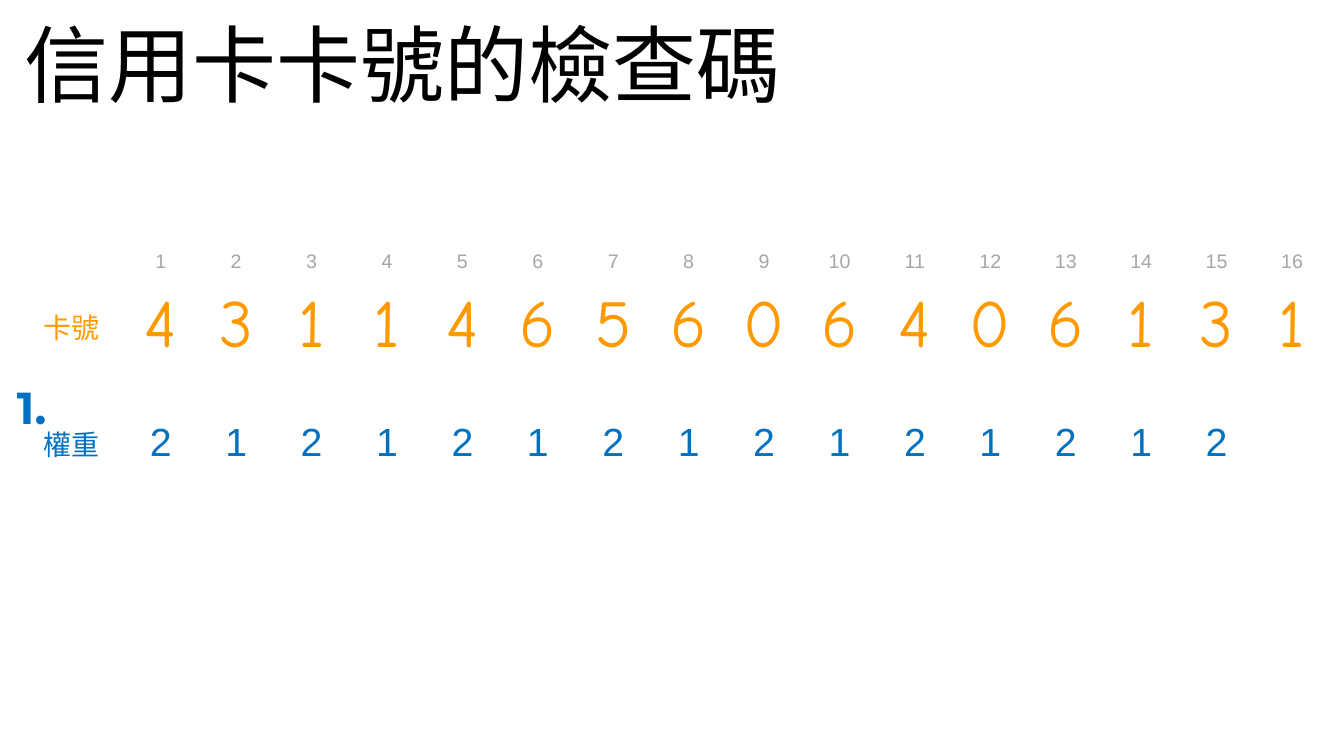
from dataclasses import dataclass

from pptx import Presentation
from pptx.dml.color import RGBColor
from pptx.enum.text import MSO_ANCHOR, MSO_AUTO_SIZE, PP_ALIGN
from pptx.oxml.ns import qn
from pptx.slide import Slide
from pptx.text.text import TextFrame
from pptx.util import Emu, Pt

PX = 9144  # EMU per px, 100 px to the inch

BLACK = RGBColor(0x00, 0x00, 0x00)
GREY = RGBColor(0xA6, 0xA6, 0xA6)
ORANGE = RGBColor(0xFF, 0x99, 0x00)
BLUE = RGBColor(0x00, 0x70, 0xC0)

CJK = "Noto Sans CJK SC"
CARD_NUMBER = "4311465606406131"
LABEL_WIDTH = 103
DIGITS_WIDTH = 1197
ROW_HEIGHTS = (41, 41, 46, 41, 41, 41)


@dataclass(frozen=True)
class Style:
    font: str
    size: int
    color: RGBColor
    bold: bool = False


@dataclass(frozen=True)
class DigitRow:
    index: int
    label: str
    values: list[str]
    style: Style


DIGIT_ROWS = (
    DigitRow(0, "", [str(n + 1) for n in range(len(CARD_NUMBER))], Style("Arial", 14, GREY)),
    DigitRow(1, "卡號", list(CARD_NUMBER), Style("Comic Neue", 48, ORANGE)),
    DigitRow(3, "權重", [str(2 - n % 2) for n in range(len(CARD_NUMBER) - 1)],
             Style("Arial", 28, BLUE)),
)


def px(length: int) -> Emu:
    return Emu(length * PX)


def write(frame: TextFrame, text: str, style: Style, align: PP_ALIGN = PP_ALIGN.LEFT) -> None:
    frame.text = text
    para = frame.paragraphs[0]
    para.alignment = align
    for span in para.runs:
        span.font.name = style.font
        span.font.size = Pt(style.size)
        span.font.bold = style.bold
        span.font.color.rgb = style.color
        # East Asian text takes its typeface from a:ea
        latin = span.font._element.find(qn("a:latin"))
        east_asian = latin.makeelement(qn("a:ea"), {"typeface": style.font})
        latin.addnext(east_asian)


def add_title(page: Slide) -> None:
    title = page.shapes.title
    title.left, title.top, title.width, title.height = map(px, (14, 13, 793, 111))
    frame = title.text_frame
    write(frame, "信用卡卡號的檢查碼", Style(CJK, 60, BLACK))
    frame.auto_size = MSO_AUTO_SIZE.NONE
    frame.vertical_anchor = MSO_ANCHOR.MIDDLE
    frame.paragraphs[0].line_spacing = 0.9


def add_digit_table(page: Slide) -> None:
    columns = len(CARD_NUMBER) + 1
    table = page.shapes.add_table(
        len(ROW_HEIGHTS), columns, px(19), px(239),
        px(LABEL_WIDTH + DIGITS_WIDTH), px(sum(ROW_HEIGHTS))).table
    table.first_row = False
    table.horz_banding = False
    for row, height in zip(table.rows, ROW_HEIGHTS):
        row.height = px(height)
    for number, column in enumerate(table.columns):
        column.width = px(DIGITS_WIDTH) // len(CARD_NUMBER) if number else px(LABEL_WIDTH)
    for cell in table.iter_cells():
        cell.fill.background()
        cell.vertical_anchor = MSO_ANCHOR.MIDDLE

    for row in DIGIT_ROWS:
        label_style = Style(CJK, 20, row.style.color)
        for number, text in enumerate([row.label, *row.values]):
            if text:
                style = row.style if number else label_style
                write(table.cell(row.index, number).text_frame, text, style, PP_ALIGN.CENTER)


def add_step_number(page: Slide) -> None:
    box = page.shapes.add_textbox(px(7), px(372), px(77), px(64))
    box.text_frame.word_wrap = True
    box.text_frame.auto_size = MSO_AUTO_SIZE.SHAPE_TO_FIT_TEXT
    write(box.text_frame, "1.", Style("Montserrat", 32, BLUE, bold=True))


def main() -> None:
    deck = Presentation()
    deck.slide_width, deck.slide_height = px(1333), px(750)
    page = deck.slides.add_slide(deck.slide_layouts[5])  # title only
    add_title(page)
    add_digit_table(page)
    add_step_number(page)
    deck.save("out.pptx")


if __name__ == "__main__":
    main()
